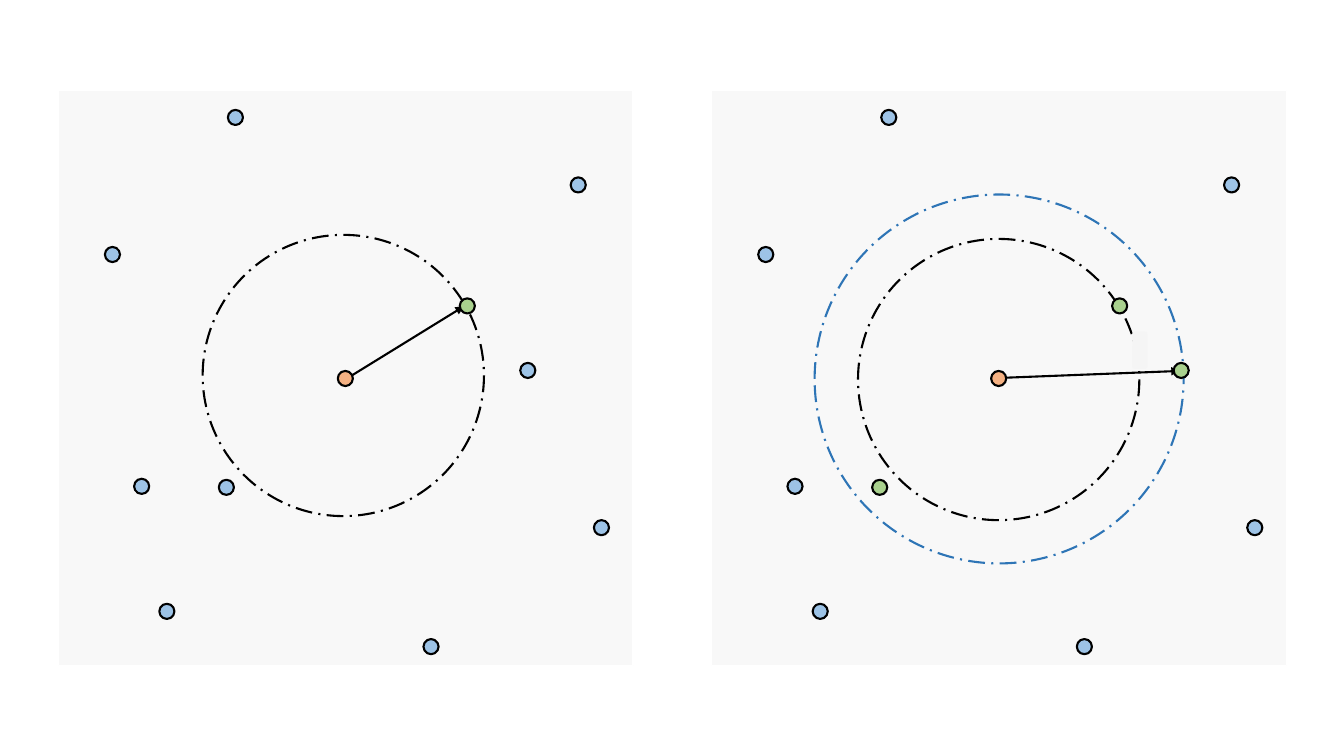
from dataclasses import dataclass

from lxml.etree import SubElement
from pptx import Presentation
from pptx.dml.color import RGBColor
from pptx.enum.dml import MSO_LINE_DASH_STYLE as Dash
from pptx.enum.shapes import MSO_CONNECTOR as Connector
from pptx.enum.shapes import MSO_SHAPE as Shape
from pptx.oxml.ns import qn
from pptx.util import Inches, Pt

COLOURS = {
    "panel": "F8F8F8",
    "panel_edge": "FFFFFF",
    "patch": "F5F5F5",
    "black": "000000",
    "query": "F4B183",
    "neighbour": "A9D18E",
    "point": "9DC3E6",
    "outer_ring": "2E75B6",
}
PANEL_SIZE = 5.7
PANEL_TOP = 0.9
DOT_SIZE = 0.15
STROKE = 1.5


@dataclass(frozen=True)
class Ring:
    left: float
    top: float
    size: float
    colour: str


@dataclass(frozen=True)
class Arrow:
    start: tuple[float, float]
    end: tuple[float, float]


@dataclass(frozen=True)
class Dot:
    left: float
    top: float
    colour: str = "point"


@dataclass(frozen=True)
class Panel:
    left: float
    rings: list[Ring]
    arrow: Arrow
    dots: list[Dot]


SHARED_DOTS = [
    Dot(5.08, 0.86), Dot(5.31, 4.26), Dot(3.62, 5.44), Dot(1.0, 5.09),
    Dot(1.68, 0.19), Dot(0.46, 1.55), Dot(0.75, 3.85),
    Dot(2.77, 2.78, "query"),
]
PANELS = [
    Panel(
        0.58,
        [Ring(1.43, 1.43, 2.79, "black")],
        Arrow((2.82, 2.88), (4.02, 2.14)),
        [Dot(3.98, 2.06, "neighbour"), Dot(4.58, 2.7), Dot(1.59, 3.86)],
    ),
    Panel(
        7.06,
        [Ring(1.45, 1.47, 2.79, "black"), Ring(1.02, 1.03, 3.66, "outer_ring")],
        Arrow((2.84, 2.85), (4.64, 2.78)),
        [Dot(3.97, 2.06, "neighbour"), Dot(4.58, 2.7, "neighbour"),
         Dot(1.59, 3.86, "neighbour")],
    ),
]


def colour(name: str) -> RGBColor:
    return RGBColor.from_string(COLOURS[name])


def add_figure(slide, kind, left: float, top: float, width: float, height: float,
               fill: str | None, edge: str | None, weight: float = STROKE):
    shape = slide.shapes.add_shape(
        kind, Inches(left), Inches(top), Inches(width), Inches(height))
    shape.shadow.inherit = False
    if fill:
        shape.fill.solid()
        shape.fill.fore_color.rgb = colour(fill)
    else:
        shape.fill.background()
    if edge:
        shape.line.color.rgb = colour(edge)
        shape.line.width = Pt(weight)
    else:
        shape.line.fill.background()
    return shape


def draw_ring(slide, panel: Panel, ring: Ring) -> None:
    shape = add_figure(slide, Shape.OVAL, panel.left + ring.left, PANEL_TOP + ring.top,
                       ring.size, ring.size, None, ring.colour)
    shape.line.dash_style = Dash.LONG_DASH_DOT


def draw_arrow(slide, panel: Panel, arrow: Arrow) -> None:
    ends = [Inches(origin + offset)
            for point in (arrow.start, arrow.end)
            for origin, offset in zip((panel.left, PANEL_TOP), point)]
    connector = slide.shapes.add_connector(Connector.STRAIGHT, *ends)
    connector.line.color.rgb = colour("black")
    connector.line.width = Pt(STROKE)
    properties = connector._element.spPr
    SubElement(properties.find(qn("a:ln")), qn("a:tailEnd"), type="triangle")
    SubElement(properties, qn("a:effectLst"))


def draw_dot(slide, panel: Panel, dot: Dot) -> None:
    add_figure(slide, Shape.OVAL, panel.left + dot.left, PANEL_TOP + dot.top,
               DOT_SIZE, DOT_SIZE, dot.colour, "black")


def draw_panel(slide, panel: Panel) -> None:
    add_figure(slide, Shape.RECTANGLE, panel.left, PANEL_TOP,
               PANEL_SIZE, PANEL_SIZE, "panel", "panel_edge", 1)
    for ring in panel.rings:
        draw_ring(slide, panel, ring)
    draw_arrow(slide, panel, panel.arrow)
    for dot in panel.dots + SHARED_DOTS:
        draw_dot(slide, panel, dot)


def main() -> None:
    presentation = Presentation()
    presentation.slide_width = Inches(13.33)
    presentation.slide_height = Inches(7.5)
    slide = presentation.slides.add_slide(presentation.slide_layouts[6])
    for panel in PANELS:
        draw_panel(slide, panel)
    add_figure(slide, Shape.ROUNDED_RECTANGLE, 11.23, 3.29, 0.15, 0.37, "patch", None)
    presentation.save("out.pptx")


if __name__ == "__main__":
    main()
